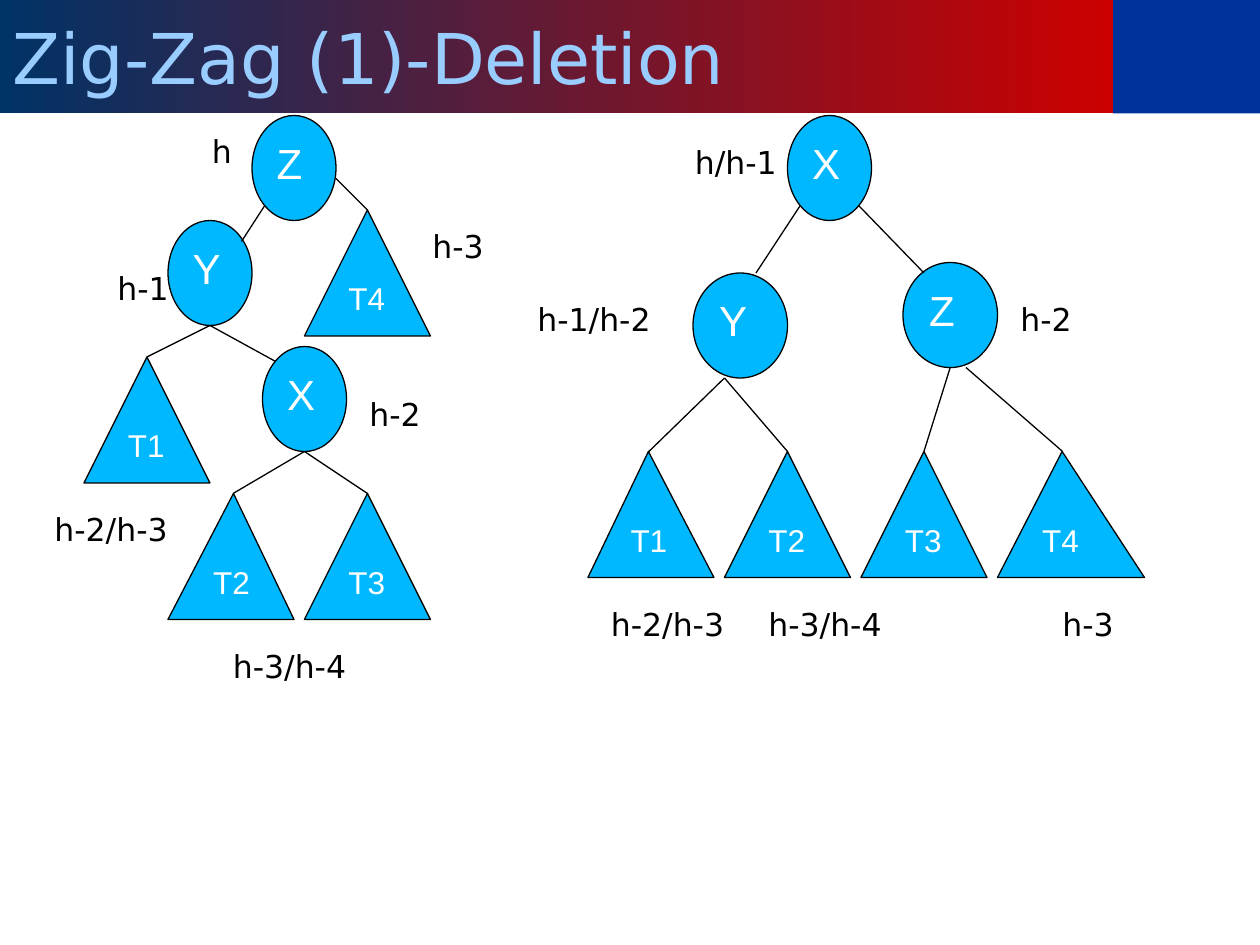
import pptx
import pptx.dml.color
import pptx.enum.shapes
import pptx.enum.text
import pptx.oxml.ns
import pptx.util
from lxml import etree

RGB = pptx.dml.color.RGBColor
SHAPE = pptx.enum.shapes.MSO_SHAPE
ANCHOR = pptx.enum.text.MSO_ANCHOR
FIT = pptx.enum.text.MSO_AUTO_SIZE
LEFT = pptx.enum.text.PP_ALIGN.LEFT

BLACK = RGB(0, 0, 0)
WHITE = RGB(255, 255, 255)
CYAN = RGB(0, 184, 255)
PALE = RGB(153, 204, 255)
BLUE = RGB(0, 51, 153)
NAVY = RGB(0, 51, 102)
RED = RGB(204, 0, 0)

PX = 7620  # EMU per px, 120 px to the inch
SANS, ARIAL = "DejaVu Sans", "Arial"


class Board:
    """Holds the style and the current slide."""

    head = {"name": SANS, "size": pptx.util.Pt(40), "color": PALE}
    note = {"name": SANS, "size": pptx.util.Pt(18), "color": BLACK}
    node = {"name": ARIAL, "size": pptx.util.Pt(24), "color": WHITE}
    leaf = {"name": ARIAL, "size": pptx.util.Pt(18), "color": WHITE}
    edge = pptx.util.Pt(0.75)

    def __init__(self, slide):
        self.slide = slide
        self.shapes = slide.shapes

    def letter(self, shape, text, style, **frame):
        body = shape.text_frame
        for key, value in frame.items():
            setattr(body, key, value)
        para = body.paragraphs[0]
        para.text = text
        para.alignment = LEFT
        font = para.runs[0].font
        for key, value in style.items():
            if key == "color":
                font.color.rgb = value
            else:
                setattr(font, key, value)

    def title(self, text, w, h):
        shape = self.shapes.title
        box = {"left": 0, "top": 0, "width": w * PX, "height": h * PX}
        for key, value in box.items():
            setattr(shape, key, value)
        shape.fill.gradient()
        shape.fill.gradient_angle = 180
        for stop, color in zip(shape.fill.gradient_stops, (RED, NAVY)):
            stop.color.rgb = color
        self.letter(shape, text, self.head, word_wrap=True,
                    auto_size=FIT.NONE, vertical_anchor=ANCHOR.MIDDLE)

    def block(self, kind, x, y, w, h, color):
        shape = self.shapes.add_shape(kind, x * PX, y * PX, w * PX, h * PX)
        shape.shadow.inherit = False
        shape.fill.solid()
        shape.fill.fore_color.rgb = color
        shape.line.fill.background()
        return shape

    def outline(self, shape):
        shape.line.color.rgb = BLACK
        shape.line.width = self.edge

    def circle(self, text, x, y, w=80):
        shape = self.block(SHAPE.OVAL, x, y, w, 100, CYAN)
        self.outline(shape)
        self.letter(shape, text, self.node, vertical_anchor=ANCHOR.TOP)

    def subtree(self, text, x, y, w=120, peak=0.5):
        shape = self.block(SHAPE.ISOSCELES_TRIANGLE, x, y, w, 120, CYAN)
        shape.adjustments[0] = peak
        self.outline(shape)
        self.letter(shape, text, self.leaf, vertical_anchor=ANCHOR.TOP)

    def link(self, *ends):
        line = self.shapes.add_connector(
            pptx.enum.shapes.MSO_CONNECTOR.STRAIGHT, *(n * PX for n in ends))
        self.outline(line)
        etree.SubElement(line._element.spPr, pptx.oxml.ns.qn("a:effectLst"))

    def label(self, text, x, y, w, wrap=False):
        box = self.shapes.add_textbox(x * PX, y * PX, w * PX, 48 * PX)
        self.letter(box, text, self.note, word_wrap=wrap,
                    auto_size=FIT.SHAPE_TO_FIT_TEXT)


def main():
    deck = pptx.Presentation()
    deck.slide_width, deck.slide_height = 1200 * PX, 900 * PX
    board = Board(deck.slides.add_slide(deck.slide_layouts[5]))

    board.block(SHAPE.RECTANGLE, 1060, 0, 140, 108, BLUE)
    board.title("Zig-Zag (1)-Deletion", 1061, 108)

    for item in (
        ("Z", 240, 110), ("X", 250, 330), ("Y", 160, 210),
        ("Z", 860, 250, 90), ("Y", 660, 260, 90), ("X", 750, 110),
    ):
        board.circle(*item)

    for item in (
        ("T2", 160, 470, 120, 0.52), ("T1", 80, 340),
        ("T3", 290, 470), ("T4", 290, 200),
    ):
        board.subtree(*item)
    row = ((120, 0.48), (120, 0.5), (120, 0.5), (140, 0.44))
    for i, (w, peak) in enumerate(row):
        board.subtree(f"T{i + 1}", 560 + 130 * i, 430, w, peak)

    for ends in (
        (252, 196, 230, 230), (320, 170, 350, 200),
        (762, 196, 720, 260), (818, 196, 880, 260),
        (690, 360, 750, 430), (690, 360, 618, 430),
        (920, 350, 1012, 430), (905, 350, 880, 430),
        (200, 310, 262, 344), (200, 310, 140, 340),
        (222, 470, 290, 430), (290, 430, 350, 470),
    ):
        board.link(*ends)

    for item in (
        ("h-3", 400, 210, 77), ("h-2", 340, 370, 77),
        ("h-3/h-4", 210, 610, 150, True), ("h-2/h-3", 40, 480, 160, True),
        ("h-1", 100, 250, 77), ("h", 190, 120, 43),
        ("h-3", 1000, 570, 77), ("h-3/h-4", 720, 570, 160, True),
        ("h-2/h-3", 570, 570, 143), ("h-2", 960, 280, 77),
        ("h-1/h-2", 500, 280, 160, True), ("h/h-1", 650, 130, 120, True),
    ):
        board.label(*item)

    deck.save("out.pptx")


if __name__ == "__main__":
    main()
